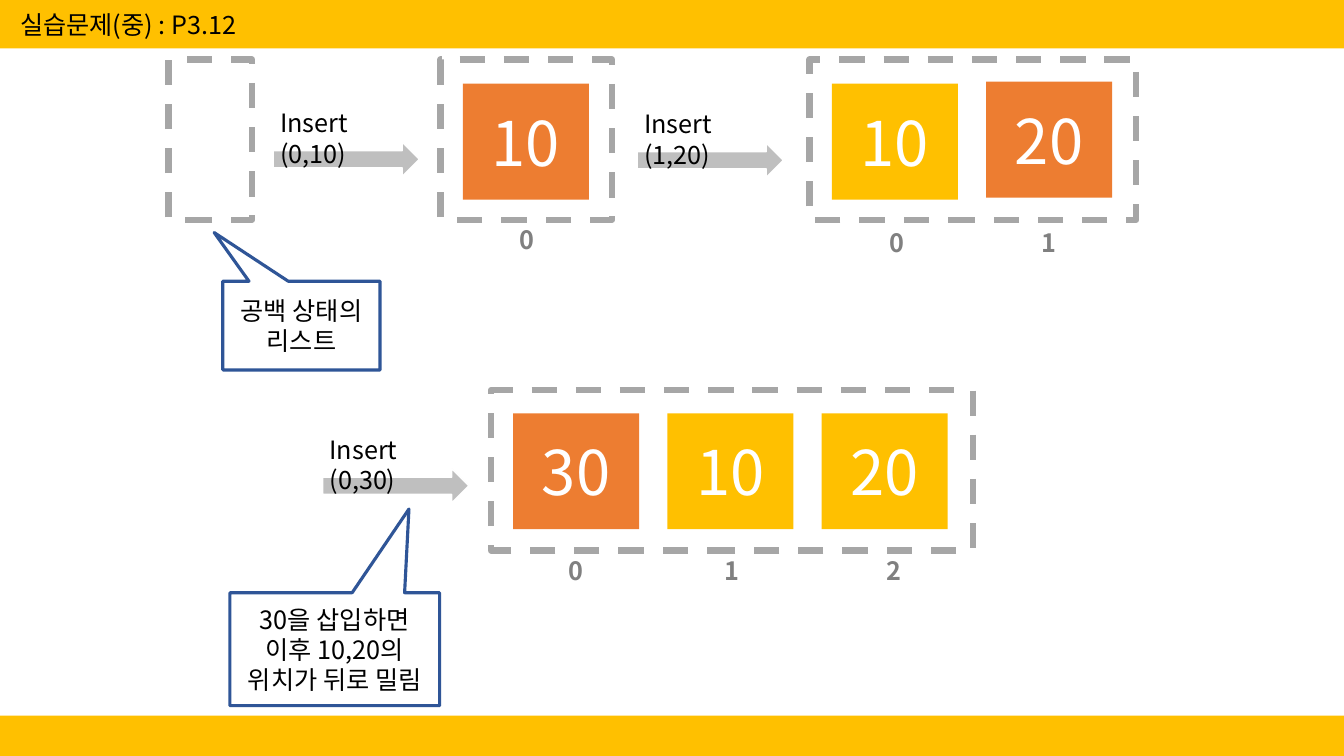
from pptx import Presentation
from pptx.dml.color import RGBColor
from pptx.enum.dml import MSO_LINE
from pptx.enum.shapes import MSO_SHAPE
from pptx.enum.text import MSO_ANCHOR, PP_ALIGN
from pptx.oxml.ns import qn
from pptx.util import Inches, Pt
from lxml.etree import SubElement

HUES = {"gold": "FFC000", "orange": "ED7D31", "white": "FFFFFF", "black": "000000",
        "gray": "808080", "edge": "A6A6A6", "arrow": "BFBFBF", "blue": "2F5597"}
FONT = "Noto Sans CJK KR"
STEP = 1.53


class Board:
    """Draws the list diagrams in one style on the current slide."""

    def __init__(self, deck):
        self.slide = deck.slides.add_slide(deck.slide_layouts[5])

    def hue(self, name):
        return RGBColor.from_string(HUES[name])

    def letter(self, shape, text, size=18, hue="black", bold=False,
               align=PP_ALIGN.CENTER, anchor=MSO_ANCHOR.MIDDLE, wrap=True):
        frame = shape.text_frame
        frame.text = text
        frame.word_wrap = wrap
        frame.vertical_anchor = anchor
        for para in frame.paragraphs:
            para.alignment = align
            for run in para.runs:
                font = run.font
                font.size, font.bold, font.name = Pt(size), bold, FONT
                font.color.rgb = self.hue(hue)
                SubElement(font._element, qn("a:ea"), typeface=FONT)

    def shape(self, kind, box, fill, line=None, width=1):
        item = self.slide.shapes.add_shape(kind, *map(Inches, box))
        item.shadow.inherit = False
        item.fill.solid()
        item.fill.fore_color.rgb = self.hue(fill)
        if line:
            item.line.color.rgb = self.hue(line)
            item.line.width = Pt(width)
        else:
            item.line.fill.background()
        return item

    def label(self, text, box, **style):
        item = self.slide.shapes.add_textbox(*map(Inches, box))
        self.letter(item, text, align=PP_ALIGN.LEFT, anchor=MSO_ANCHOR.TOP, **style)

    def bar(self, top, high):
        self.shape(MSO_SHAPE.RECTANGLE, (0, top, 13.33, high), "gold")

    def title(self, text):
        item = self.slide.shapes.title
        item.left, item.top, item.width, item.height = map(Inches, (0.1, 0.04, 6.67, 0.4))
        self.letter(item, text, align=PP_ALIGN.LEFT)
        self.slide.shapes._spTree.append(item._element)

    def callout(self, text, box, tip):
        item = self.shape(MSO_SHAPE.RECTANGULAR_CALLOUT, box, "white", "blue", 2.25)
        item.adjustments[0], item.adjustments[1] = tip
        self.letter(item, text)

    def insert(self, text, left, top):
        self.shape(MSO_SHAPE.RIGHT_ARROW, (left, top, 1.45, 0.34), "arrow", "white")
        self.label(text, (left - 0.03, top - 0.39, 1.51, 0.39))

    def frame(self, left, top, width):
        item = self.shape(MSO_SHAPE.RECTANGLE, (left, top, width, 1.59), "white", "edge", 4.5)
        item.line.dash_style = MSO_LINE.DASH

    def items(self, left, top, cells, drop=1.59):
        self.frame(left, top, 1.7 + 1.54 * (len(cells) - 1))
        for spot, (text, fill, down, shift) in enumerate(cells):
            x = left + 0.22 + STEP * spot
            tile = self.shape(MSO_SHAPE.RECTANGLE, (x, top + down, 1.25, 1.15), fill)
            self.letter(tile, text, size=44, hue="white")
            self.label(str(spot), (x + shift, top + drop, 0.34, 0.39),
                       hue="gray", bold=True, wrap=False)


def main():
    deck = Presentation()
    deck.slide_width, deck.slide_height = Inches(13.33), Inches(7.5)
    board = Board(deck)
    board.bar(7.1, 0.4)
    board.bar(0, 0.48)

    board.callout("30을 삽입하면 이후 10,20의 위치가 뒤로 밀림",
                  (2.28, 5.88, 2.08, 1.12), (0.354, -1.241))
    board.insert("Insert (0,30)", 3.2, 4.65)
    board.items(4.87, 3.87, [("30", "orange", 0.23, 0.45), ("10", "gold", 0.23, 0.47),
                             ("20", "gold", 0.23, 0.54)])

    board.frame(1.67, 0.59, 0.83)
    board.callout("공백 상태의\n리스트", (2.21, 2.79, 1.56, 0.88), (-0.555, -1.049))
    board.insert("Insert (0,10)", 2.71, 1.41)
    board.items(4.37, 0.59, [("10", "orange", 0.24, 0.46)])
    board.insert("Insert (1,20)", 6.32, 1.42)
    board.items(8.03, 0.59, [("10", "gold", 0.24, 0.47), ("20", "orange", 0.22, 0.45)], 1.62)

    board.title("실습문제(중) : P3.12")
    deck.save("out.pptx")


if __name__ == "__main__":
    main()
